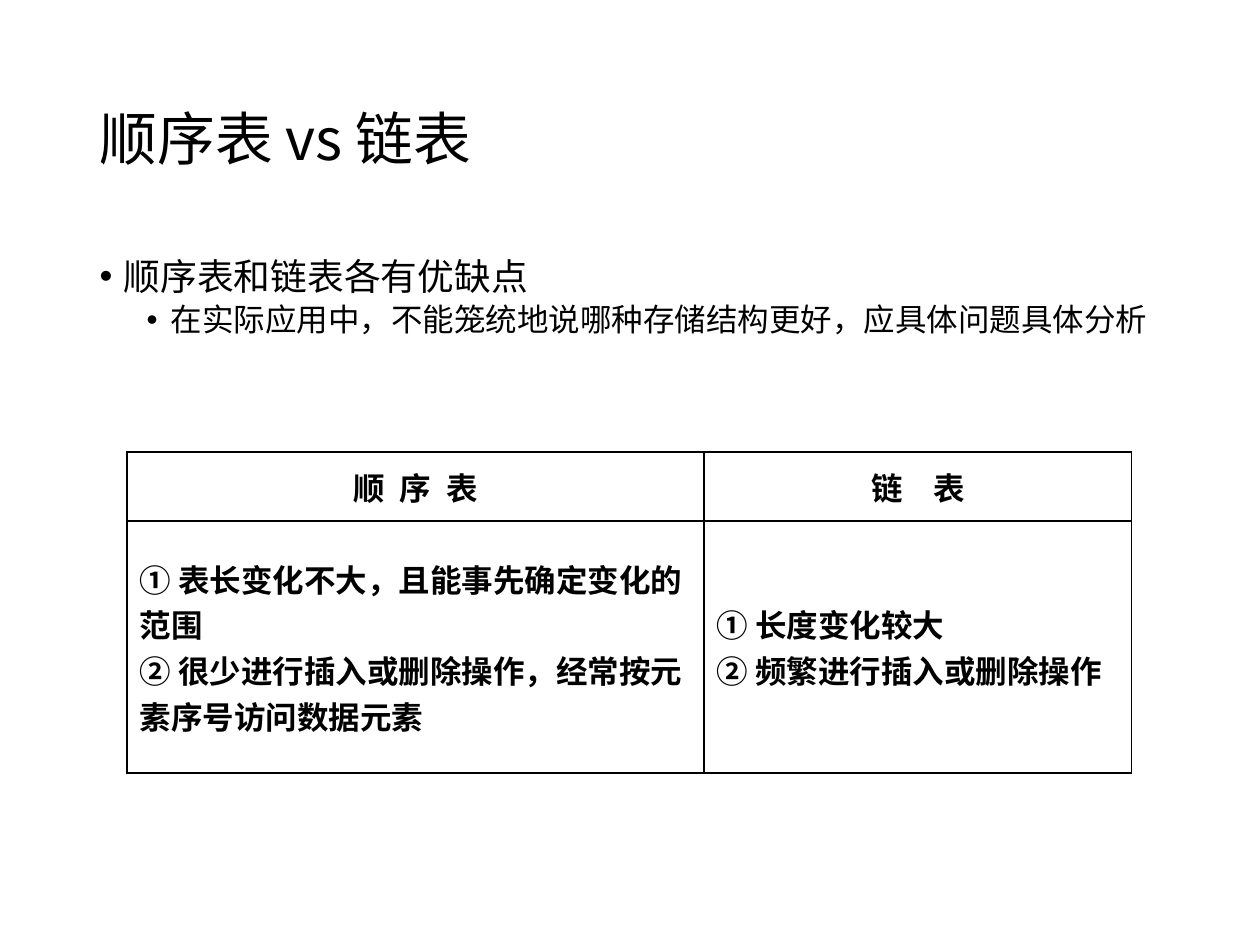
"""Build a slide comparing sequential lists with linked lists."""
from lxml import etree
from pptx import Presentation
from pptx import util as u
from pptx.dml.color import RGBColor
from pptx.enum import text
from pptx.oxml.ns import qn

PIXEL = u.Inches(1) // 126
BLACK = RGBColor(0, 0, 0)
WHITE = RGBColor(255, 255, 255)
SANS = "Noto Sans CJK SC"
SERIF = "Times New Roman"


def write(para, words, size, font=SANS, bold=False, align=text.PP_ALIGN.LEFT, tracking=0):
    para.alignment = align
    span = para.add_run()
    span.text = words
    span.font.size = u.Pt(size)
    span.font.bold = bold
    span.font.name = font
    span.font.color.rgb = BLACK
    props = span.font._element
    etree.SubElement(props, qn("a:ea")).set("typeface", SANS)
    if tracking:
        props.set("spc", str(round(tracking * 100)))


deck = Presentation()
deck.slide_width, deck.slide_height = 1260 * PIXEL, 945 * PIXEL
page = deck.slides.add_slide(deck.slide_layouts[1])
title, body = page.placeholders

for box, top, height, anchor in (
    (title, 50, 183, text.MSO_ANCHOR.MIDDLE),
    (body, 252, 600, text.MSO_ANCHOR.TOP),
):
    box.left, box.top, box.width, box.height = (n * PIXEL for n in (87, top, 1086, height))
    box.text_frame.auto_size = text.MSO_AUTO_SIZE.NONE
    box.text_frame.vertical_anchor = anchor

heading = title.text_frame.paragraphs[0]
heading.line_spacing = 0.9
write(heading, "顺序表 vs 链表", 33)

points = (
    ("顺序表和链表各有优缺点", 21, 7.5, 24),
    ("在实际应用中，不能笼统地说哪种存储结构更好，应具体问题具体分析", 18, 3.8, 71),
)
for level, (words, size, before, indent) in enumerate(points):
    para = body.text_frame.add_paragraph() if level else body.text_frame.paragraphs[0]
    para.level = level
    para.line_spacing = 0.9
    para.space_before = u.Pt(before)
    write(para, words, size)
    props = para._p.get_or_add_pPr()
    props.set("marL", str(indent * PIXEL))
    props.set("indent", str(-24 * PIXEL))
    etree.SubElement(props, qn("a:buFont")).set("typeface", "Arial")
    etree.SubElement(props, qn("a:buChar")).set("char", "•")

rows = (
    (("顺 序 表",), ("链 表",)),
    (
        ("① 表长变化不大，且能事先确定变化的范围", "② 很少进行插入或删除操作，经常按元素序号访问数据元素"),
        ("① 长度变化较大", "② 频繁进行插入或删除操作"),
    ),
)
header_tracking = (2.25, 6.75)
widths, heights = (577, 428), (69, 252)
frame = page.shapes.add_table(
    2, 2, 127 * PIXEL, 452 * PIXEL, sum(widths) * PIXEL, sum(heights) * PIXEL
)
table = frame.table
for column, width in zip(table.columns, widths):
    column.width = width * PIXEL
for row, height in zip(table.rows, heights):
    row.height = height * PIXEL

for r, row in enumerate(rows):
    for c, lines in enumerate(row):
        cell = table.cell(r, c)
        cell.vertical_anchor = text.MSO_ANCHOR.MIDDLE
        props = cell._tc.get_or_add_tcPr()
        for side in "LRTB":
            thickness = 0.75 if side == "R" and c == 1 else 1
            edge = etree.SubElement(props, qn(f"a:ln{side}"), w=str(u.Pt(thickness)))
            paint = etree.SubElement(edge, qn("a:solidFill"))
            etree.SubElement(paint, qn("a:srgbClr"), val=str(BLACK))
        cell.fill.solid()
        cell.fill.fore_color.rgb = WHITE
        for n, words in enumerate(lines):
            para = cell.text_frame.add_paragraph() if n else cell.text_frame.paragraphs[0]
            write(
                para, words, 18, font=SERIF, bold=True,
                align=text.PP_ALIGN.LEFT if r else text.PP_ALIGN.CENTER,
                tracking=0 if r else header_tracking[c],
            )

deck.save("out.pptx")
